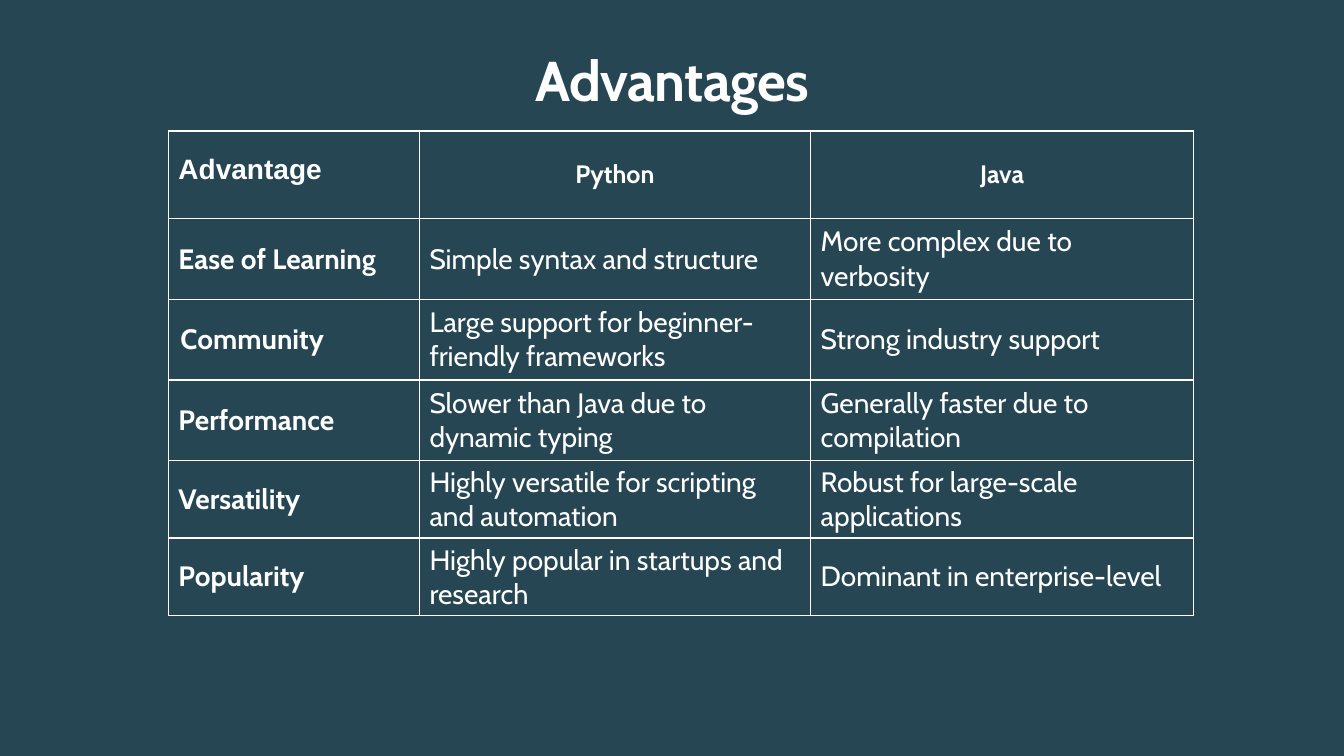
from dataclasses import dataclass

from lxml import etree
from pptx import Presentation
from pptx import util as u
from pptx.dml.color import RGBColor
from pptx.enum import text
from pptx.oxml.ns import qn


@dataclass(frozen=True)
class Theme:
    ground: str = "264653"
    ink: str = "FFFFFF"
    font: str = "Cabin"
    corner_font: str = "Arial"
    title_size: int = 40
    header_size: int = 18
    body_size: int = 20


THEME = Theme()
COLUMNS = [2.49, 3.88, 3.8]
ROWS = [0.87, 0.8, 0.8, 0.8, 0.74, 0.74]
ADVANTAGES = [
    ["Advantage", "Python", "Java"],
    ["Ease of Learning", "Simple syntax and structure", "More complex due to verbosity"],
    ["Community", "Large support for beginner-friendly frameworks", "Strong industry support"],
    ["Performance", "Slower than Java due to dynamic typing", "Generally faster due to compilation"],
    ["Versatility", "Highly versatile for scripting and automation", "Robust for large-scale applications"],
    ["Popularity", "Highly popular in startups and research", "Dominant in enterprise-level"],
]


def write(frame, words, size=THEME.body_size, font=THEME.font, bold=False,
          align=text.PP_ALIGN.LEFT, spacing=None):
    para = frame.paragraphs[0]
    para.alignment = align
    span = para.add_run()
    span.text = words
    span.font.size = u.Pt(size)
    span.font.name = font
    span.font.bold = bold
    span.font.color.rgb = RGBColor.from_string(THEME.ink)
    if spacing is not None:
        span._r.get_or_add_rPr().set("spc", str(round(spacing * 100)))


class Page:
    def __init__(self, deck, theme):
        self.theme = theme
        self.slide = deck.slides.add_slide(deck.slide_layouts[5])
        self.paint(self.slide.background.fill)

    def paint(self, fill):
        fill.solid()
        fill.fore_color.rgb = RGBColor.from_string(self.theme.ground)

    def title(self, words, left, top, width, height):
        box = self.slide.shapes.title
        box.left, box.top, box.width, box.height = map(u.Inches, (left, top, width, height))
        frame = box.text_frame
        frame.margin_left = frame.margin_top = frame.margin_right = frame.margin_bottom = 0
        frame.vertical_anchor = text.MSO_ANCHOR.BOTTOM
        frame.auto_size = text.MSO_AUTO_SIZE.SHAPE_TO_FIT_TEXT
        write(frame, words, size=self.theme.title_size, bold=True,
              align=text.PP_ALIGN.CENTER, spacing=-0.5)

    def border(self, cell, width=1):
        properties = cell._tc.get_or_add_tcPr()
        for index, side in enumerate(("a:lnL", "a:lnR", "a:lnT", "a:lnB")):
            line = etree.Element(qn(side), w=str(u.Pt(width)))
            fill = etree.SubElement(line, qn("a:solidFill"))
            etree.SubElement(fill, qn("a:srgbClr"), val=self.theme.ink)
            properties.insert(index, line)

    def table(self, rows, left, top, widths, heights):
        frame = self.slide.shapes.add_table(
            len(rows), len(widths), u.Inches(left), u.Inches(top),
            u.Inches(sum(widths)), u.Inches(sum(heights)))
        table = frame.table
        table.horz_banding = False
        for column, width in zip(table.columns, widths):
            column.width = u.Inches(width)
        for row, height in zip(table.rows, heights):
            row.height = u.Inches(height)
        for i, row in enumerate(rows):
            for j, words in enumerate(row):
                cell = table.cell(i, j)
                cell.vertical_anchor = text.MSO_ANCHOR.MIDDLE
                self.paint(cell.fill)
                self.border(cell)
                heading = i == 0 and j > 0
                write(cell.text_frame, words,
                      size=self.theme.header_size if heading else self.theme.body_size,
                      font=self.theme.corner_font if i == j == 0 else self.theme.font,
                      bold=i == 0 or j == 0,
                      align=text.PP_ALIGN.CENTER if heading else text.PP_ALIGN.LEFT)
        return table


def main():
    deck = Presentation()
    deck.slide_width, deck.slide_height = u.Inches(13.33), u.Inches(7.5)
    page = Page(deck, THEME)
    page.title("Advantages", 1.67, 0.45, 10, 0.67)
    table = page.table(ADVANTAGES, 1.67, 1.3, COLUMNS, ROWS)
    corner, community = table.cell(0, 0), table.cell(2, 0)
    corner.margin_top, corner.margin_bottom = 0, u.Inches(0.1)
    community.margin_left = u.Inches(0.12)
    deck.save("out.pptx")


if __name__ == "__main__":
    main()
